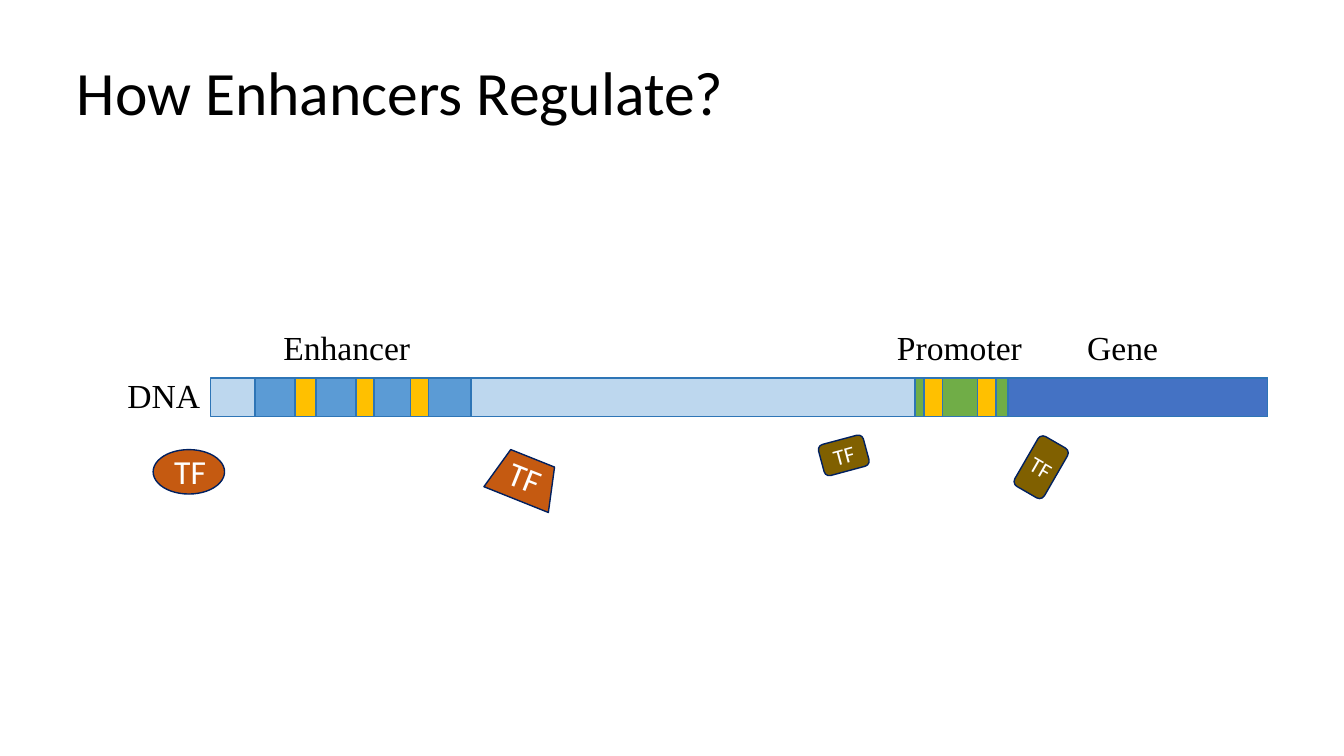
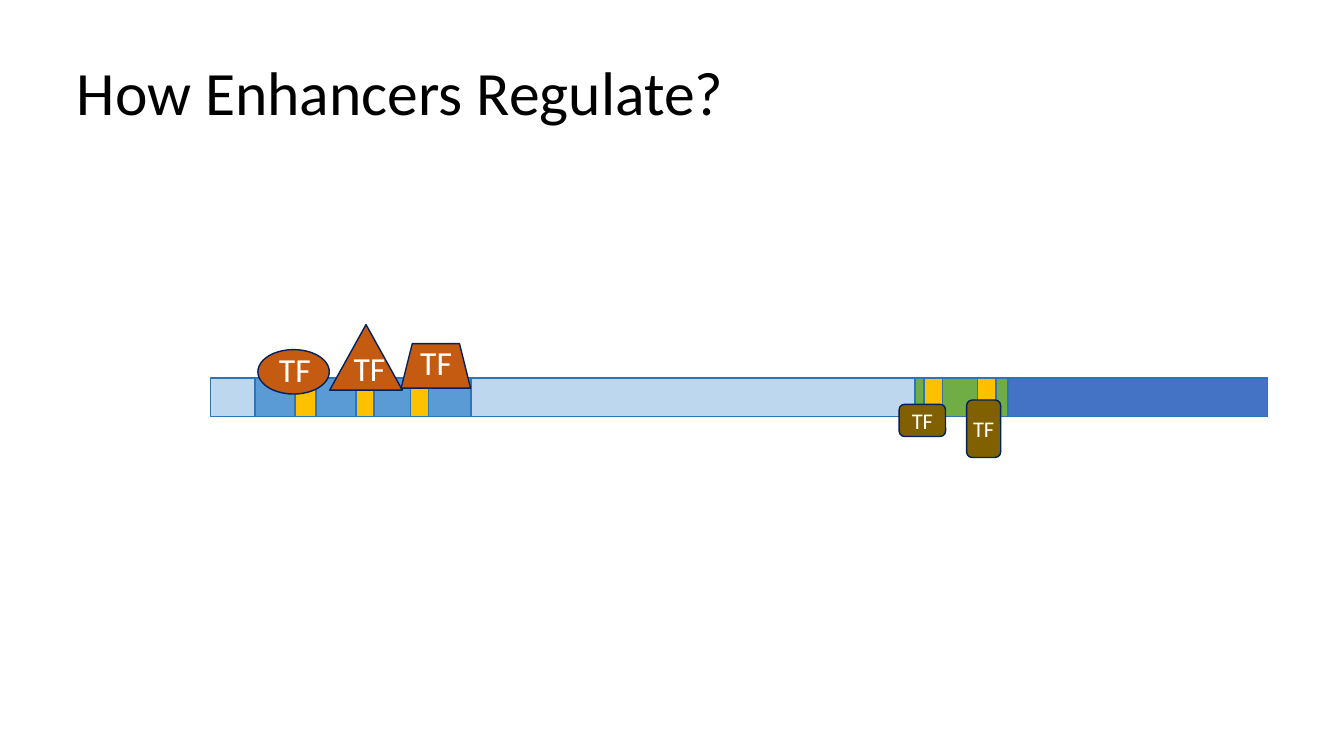
from dataclasses import dataclass

from pptx import Presentation
from pptx.dml.color import RGBColor
from pptx.enum.shapes import MSO_SHAPE
from pptx.enum.text import MSO_ANCHOR, PP_ALIGN
from pptx.util import Cm, Pt

RECT, ROUNDED = MSO_SHAPE.RECTANGLE, MSO_SHAPE.ROUNDED_RECTANGLE
OVAL, TRIANGLE, TRAPEZOID = MSO_SHAPE.OVAL, MSO_SHAPE.ISOSCELES_TRIANGLE, MSO_SHAPE.TRAPEZOID
LEFT, CENTER = PP_ALIGN.LEFT, PP_ALIGN.CENTER
TOP, MIDDLE = MSO_ANCHOR.TOP, MSO_ANCHOR.MIDDLE


@dataclass(frozen=True)
class Theme:
    dna: str = "BDD7EE"
    enhancer: str = "5B9BD5"
    promoter: str = "70AD47"
    gene: str = "4472C4"
    binding_site: str = "FFC000"
    strand_edge: str = "2E75B6"
    enhancer_factor: str = "C55A11"
    promoter_factor: str = "806000"
    factor_edge: str = "002060"
    dark_text: str = "000000"
    light_text: str = "FFFFFF"
    body_font: str = "Calibri"
    region_font: str = "Times New Roman"
    title_size: int = 44
    label_size: int = 24
    small_size: int = 16


THEME = Theme()
TITLE = "How Enhancers Regulate?"
TITLE_BOX = (1.68, 0.56, 29.21, 3.68)

# The strand, back to front: left, width, fill
STRAND_TOP, STRAND_HEIGHT = 9.53, 0.97
STRAND = [
    (5.31, 26.64, THEME.dna),
    (6.43, 5.44, THEME.enhancer),
    (23.06, 8.89, THEME.gene),
    (23.06, 2.34, THEME.promoter),
    (7.44, 0.53, THEME.binding_site),
] + [(left, 0.46, THEME.binding_site) for left in (8.97, 10.34, 23.29, 24.64)]

REGION_LABELS = [
    ("Enhancer", (6.71, 8.28, 4.06, 0.91)),
    ("Promoter", (22.15, 8.28, 4.06, 0.91)),
    ("Gene", (26.26, 8.2, 4.06, 1.09)),
    ("DNA", (2.39, 9.35, 3.48, 1.22)),
]

# Width and height of each factor outline, and width of its label
OUTLINE_SIZE = {OVAL: (1.8, 1.12), TRIANGLE: (1.83, 1.65), TRAPEZOID: (1.75, 1.12)}
LABEL_WIDTH = {OVAL: 2.01, TRIANGLE: 1.73, TRAPEZOID: 1.65}
LABEL_HEIGHT = 1.27
WIDE, TALL = (1.17, 0.81), (0.86, 1.45)

# Enhancer factors: outline, outline corner, label corner, rotation
# Promoter factors: corner, size, rotation
STAGES = [
    {
        "regions": REGION_LABELS,
        "enhancer": [
            (OVAL, (3.86, 11.33), (4.14, 11.23), 0),
            (TRAPEZOID, (12.34, 11.51), (12.57, 11.46), 21.8),
        ],
        "promoter": [((25.81, 11.05), TALL, 30), ((20.68, 11.07), WIDE, 345)],
    },
    {
        "regions": [],
        "enhancer": [
            (TRIANGLE, (8.31, 8.18), (8.66, 8.64), 0),
            (TRAPEZOID, (10.11, 8.66), (10.34, 8.48), 0),
            (OVAL, (6.5, 8.81), (6.78, 8.66), 0),
        ],
        "promoter": [((22.66, 10.19), WIDE, 0), ((24.36, 10.08), TALL, 0)],
    },
]


def add_block(shapes, outline, box, fill, edge, rotation=0):
    block = shapes.add_shape(outline, *map(Cm, box))
    block.shadow.inherit = False
    block.fill.solid()
    block.fill.fore_color.rgb = RGBColor.from_string(fill)
    block.line.color.rgb = RGBColor.from_string(edge)
    block.line.width = Pt(1)
    block.rotation = rotation
    return block


def write(holder, text, size, color, font=THEME.body_font, align=CENTER, anchor=MIDDLE):
    frame = holder.text_frame
    frame.word_wrap = True
    frame.vertical_anchor = anchor
    paragraph = frame.paragraphs[0]
    paragraph.alignment = align
    run = paragraph.add_run()
    run.text = text
    run.font.size = Pt(size)
    run.font.name = font
    run.font.color.rgb = RGBColor.from_string(color)
    return frame


deck = Presentation()
deck.slide_width, deck.slide_height = Cm(33.87), Cm(19.05)
title_only = deck.slide_layouts[5]

for stage in STAGES:
    slide = deck.slides.add_slide(title_only)
    shapes = slide.shapes

    title = shapes.title
    title.left, title.top, title.width, title.height = map(Cm, TITLE_BOX)
    title_frame = write(title, TITLE, THEME.title_size, THEME.dark_text, align=LEFT)
    title_frame.paragraphs[0].line_spacing = 0.9

    for left, width, fill in STRAND:
        box = (left, STRAND_TOP, width, STRAND_HEIGHT)
        add_block(shapes, RECT, box, fill, THEME.strand_edge)

    for region, box in stage["regions"]:
        label = shapes.add_textbox(*map(Cm, box))
        write(label, region, THEME.label_size, THEME.dark_text, THEME.region_font)

    for corner, size, rotation in stage["promoter"]:
        factor = add_block(shapes, ROUNDED, corner + size, THEME.promoter_factor,
                           THEME.factor_edge, rotation)
        frame = write(factor, "TF", THEME.small_size, THEME.light_text)
        frame.margin_left = frame.margin_right = frame.margin_top = frame.margin_bottom = 0

    for outline, corner, label_corner, rotation in stage["enhancer"]:
        factor = shapes.add_group_shape().shapes
        add_block(factor, outline, corner + OUTLINE_SIZE[outline], THEME.enhancer_factor,
                  THEME.factor_edge, rotation)
        label_box = label_corner + (LABEL_WIDTH[outline], LABEL_HEIGHT)
        label = factor.add_textbox(*map(Cm, label_box))
        label.rotation = rotation
        write(label, "TF", THEME.label_size, THEME.light_text, align=LEFT, anchor=TOP)

deck.save("out.pptx")
